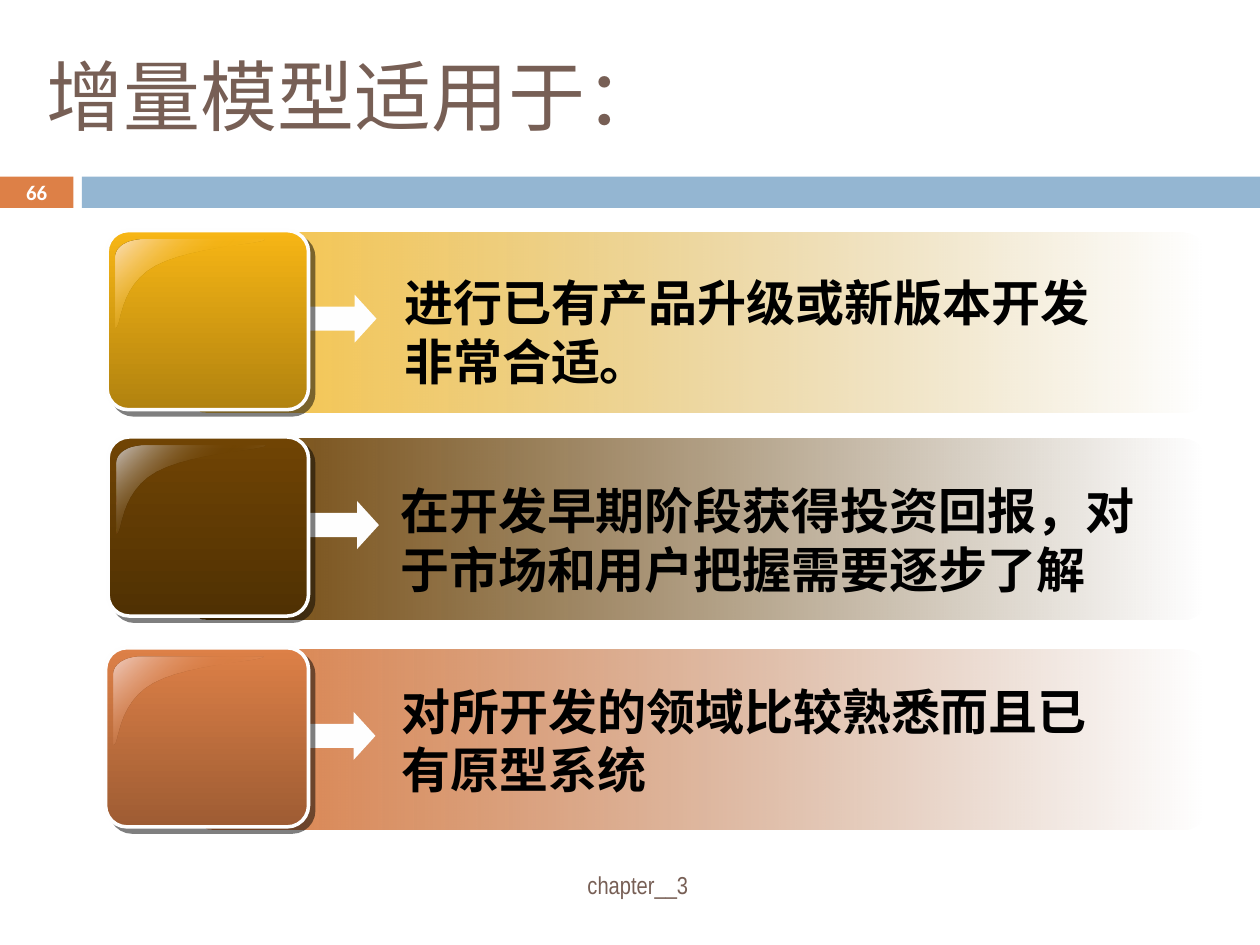
import pptx
import pptx.util
import pptx.dml.color
import pptx.enum.shapes
import pptx.enum.text
import pptx.oxml.ns
from lxml import etree

Cm, Pt = pptx.util.Cm, pptx.util.Pt
RGB = pptx.dml.color.RGBColor
SHAPE = pptx.enum.shapes.MSO_SHAPE
ALIGN = pptx.enum.text.PP_ALIGN
ANCHOR = pptx.enum.text.MSO_ANCHOR
AUTO = pptx.enum.text.MSO_AUTO_SIZE
qn = pptx.oxml.ns.qn

ORANGE = RGB(0xDD, 0x80, 0x47)
DARK_ORANGE = RGB(0x9E, 0x5C, 0x33)
PALE_ORANGE = RGB(0xEF, 0xCE, 0xC3)
GOLD = RGB(0xF7, 0xB6, 0x15)
DARK_GOLD = RGB(0xB1, 0x82, 0x0F)
PALE_GOLD = RGB(0xFB, 0xDF, 0xBF)
BROWN = RGB(0x70, 0x44, 0x04)
DARK_BROWN = RGB(0x50, 0x31, 0x03)
PALE_BROWN = RGB(0xCA, 0xC3, 0xBF)
BLUE = RGB(0x94, 0xB6, 0xD2)
TAUPE = RGB(0x77, 0x5F, 0x55)
OFF_WHITE = RGB(0xFE, 0xFE, 0xFE)
WHITE = RGB(0xFF, 0xFF, 0xFF)
BLACK = RGB(0, 0, 0)
CJK = "Noto Sans CJK SC"

prs = pptx.Presentation()
prs.slide_width, prs.slide_height = Cm(25.4), Cm(19.05)
slide = prs.slides.add_slide(prs.slide_layouts[6])


def add_text(text, x, y, w, h, size, name, color, bold=False):
    s = slide.shapes.add_textbox(Cm(x), Cm(y), Cm(w), Cm(h))
    tf = s.text_frame
    tf.word_wrap = True
    tf.vertical_anchor = ANCHOR.MIDDLE
    p = tf.paragraphs[0]
    p.text = text
    p.font.size, p.font.name, p.font.bold = Pt(size), name, bold
    p.font.color.rgb = color
    ea = etree.SubElement(p._p.pPr.find(qn("a:defRPr")), qn("a:ea"))
    ea.set("typeface", CJK)
    return tf


def set_gradient(s, angle, stops):
    s.shadow.inherit = False
    s.line.fill.background()
    s.fill.gradient()
    grad = s._element.spPr.find(qn("a:gradFill"))
    grad.find(qn("a:lin")).set("ang", str(angle * 60000))
    gs_list = grad.find(qn("a:gsLst"))
    for gs in list(gs_list):
        gs_list.remove(gs)
    for pos, color, alpha in stops:
        gs = etree.SubElement(gs_list, qn("a:gs"), pos=str(pos * 1000))
        clr = etree.SubElement(gs, qn("a:srgbClr"), val=str(color))
        if alpha < 100:
            etree.SubElement(clr, qn("a:alpha"), val=str(alpha * 1000))


for x, w, color in [(0, 1.48, ORANGE), (1.65, 23.75, BLUE)]:
    s = slide.shapes.add_shape(SHAPE.RECTANGLE, Cm(x), Cm(3.56), Cm(w), Cm(0.63))
    s.shadow.inherit = False
    s.fill.solid()
    s.fill.fore_color.rgb = color
    s.line.fill.background()

add_text("增量模型适用于：", 0.69, 0.53, 22.66, 2.74, 44, CJK, TAUPE)
tf = add_text("chapter__3", 5.33, 17.32, 15.06, 1.02, 14, "Arial Narrow", TAUPE)
tf.paragraphs[0].alignment = ALIGN.CENTER
tf = add_text("66", 0, 3.53, 1.48, 0.69, 11.9, "Calibri", WHITE, True)
tf.paragraphs[0].alignment = ALIGN.CENTER
tf.margin_left = tf.margin_right = tf.margin_top = tf.margin_bottom = 0

gloss_curves = [
    [(0.58, 0), (0.25, 0), (0, 0.15), (0, 0.36)],
    [(0, 1.78), (0.13, 1.8), (0.05, 0.94), (0.81, 0.53)],
    [(0.81, 0.53), (1.57, 0.13), (3.05, 0.1), (3, 0)],
]
gloss = []
for a, b, c, d in gloss_curves:
    for i in range(13):
        t = i / 12
        u = 1 - t
        gloss.append([u**3 * a[k] + 3 * u * u * t * b[k] + 3 * u * t * t * c[k] + t**3 * d[k]
                      for k in (0, 1)])

rows = [
    (4.65, 2.16, 3.76, 6.17, 80, GOLD, DARK_GOLD, PALE_GOLD,
     "进行已有产品升级或新版本开发非常合适。", 7.9, 5.38, 14.78, "Arial Narrow"),
    (8.81, 2.18, 3.76, 6.22, 100, BROWN, DARK_BROWN, PALE_BROWN,
     "在开发早期阶段获得投资回报，对于市场和用户把握需要逐步了解", 7.82, 9.57, 16.28, CJK),
    (13.06, 2.13, 3.89, 6.15, 100, ORANGE, DARK_ORANGE, PALE_ORANGE,
     "对所开发的领域比较熟悉而且已有原型系统", 7.85, 13.61, 14.45, CJK),
]
for (top, tile_x, bar_x, arrow_x, alpha, color, dark, pale,
     text, text_x, text_y, text_w, name) in rows:
    s = slide.shapes.add_shape(SHAPE.ROUNDED_RECTANGLE, Cm(bar_x), Cm(top + 0.04),
                               Cm(24.28 - bar_x), Cm(3.63))
    s.adjustments[0] = 0.115
    set_gradient(s, 0, [(0, color, alpha), (100, dark, 0)])

    s = slide.shapes.add_shape(SHAPE.RIGHT_ARROW, Cm(arrow_x), Cm(top + 1.29), Cm(1.42), Cm(0.97))
    s.adjustments[1] = 0.455
    s.shadow.inherit = False
    s.fill.solid()
    s.fill.fore_color.rgb = OFF_WHITE
    s.line.fill.background()

    s = slide.shapes.add_shape(SHAPE.ROUNDED_RECTANGLE, Cm(tile_x), Cm(top),
                               Cm(6.22 - tile_x), Cm(3.61))
    s.adjustments[0] = 0.119
    set_gradient(s, 90, [(0, color, 100), (100, dark, 100)])
    s.line.color.rgb = OFF_WHITE
    s.line.width = Pt(2)
    shadow = etree.SubElement(s._element.spPr.find(qn("a:effectLst")), qn("a:outerShdw"),
                              dist=str(Pt(4.2)), dir="2700000", algn="ctr", rotWithShape="0")
    clr = etree.SubElement(shadow, qn("a:srgbClr"), val=str(BLACK))
    etree.SubElement(clr, qn("a:alpha"), val="50000")

    points = [(Cm(tile_x + 0.17 + x), Cm(top + 0.17 + y)) for x, y in gloss]
    fb = slide.shapes.build_freeform(*points[0])
    fb.add_line_segments(points[1:], close=True)
    s = fb.convert_to_shape()
    set_gradient(s, 45, [(0, pale, 100), (50, color, 0), (100, pale, 100)])

    tf = add_text(text, text_x, text_y, text_w, 2.64, 28, name, BLACK, True)
    tf.vertical_anchor = ANCHOR.TOP
    tf.auto_size = AUTO.SHAPE_TO_FIT_TEXT
    tf.paragraphs[0].line_spacing = Pt(33.5)

prs.save("out.pptx")
